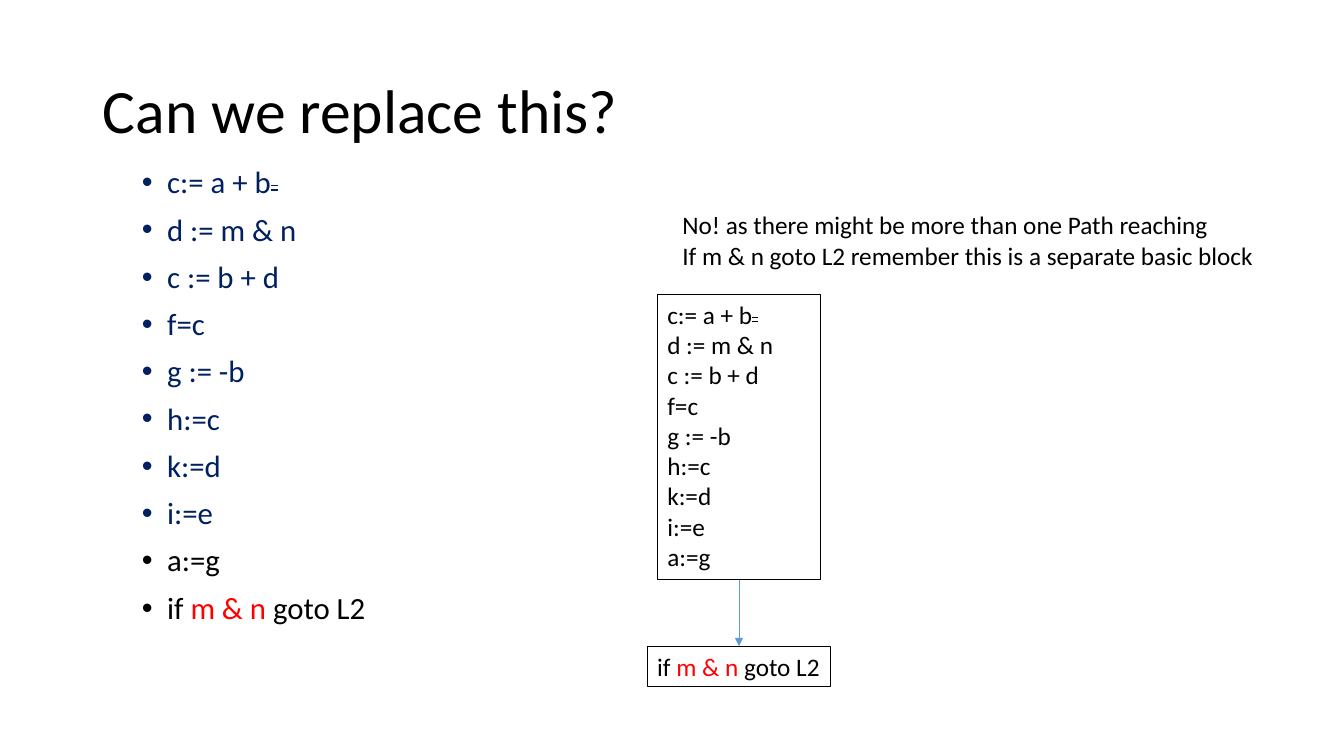
from lxml.etree import SubElement
from pptx import Presentation
from pptx.dml.color import RGBColor
from pptx.enum.shapes import MSO_CONNECTOR as CONN, MSO_SHAPE as SHAPE
from pptx.enum.text import MSO_ANCHOR as ANCHOR, MSO_AUTO_SIZE as FIT, PP_ALIGN as ALIGN
from pptx.oxml.ns import qn
from pptx.util import Pt

PX = 9144  # 100 px to the inch
BLACK, NAVY, RED, BLUE = "000000", "002060", "FF0000", "5B9BD5"

FIRST = [("c:= a + b", {}), (" ", {"strike": "dblStrike"})]
BLOCK = [FIRST, "d := m & n", "c := b + d", "f=c", "g := -b",
         "h:=c", "k:=d", "i:=e", "a:=g"]
BRANCH = [("if ", {"color": BLACK}), ("m & n ", {"color": RED}),
          ("goto L2", {"color": BLACK})]
ANSWER = ["No! as there might be more than one Path reaching",
          "If m & n goto L2 remember this is a separate basic block"]


def px(*lengths):
    return [n * PX for n in lengths]


def rgb(color):
    return RGBColor.from_string(color)


def add_run(p, text, font="Calibri", size=18, color=BLACK, strike=None):
    r = p.add_run()
    r.text = text
    r.font.name, r.font.size = font, Pt(size)
    r.font.color.rgb = rgb(color)
    if strike:
        r.font._element.set("strike", strike)


def add_bullet(p, indent=25):
    pPr = p._p.get_or_add_pPr()
    pPr.set("marL", str(indent * PX))
    pPr.set("indent", str(-indent * PX))
    SubElement(pPr, qn("a:buFont"), typeface="Arial")
    SubElement(pPr, qn("a:buChar"), char="•")


class Slide:
    def __init__(self, prs):
        self.s = prs.slides.add_slide(prs.slide_layouts[5])

    def fill_text(self, tf, lines, bullets=False, **style):
        """Each line is a string or a list of (text, format) pairs."""
        for i, line in enumerate(lines):
            p = tf.add_paragraph() if i else tf.paragraphs[0]
            p.alignment = ALIGN.LEFT
            if bullets:
                p.line_spacing, p.space_before = 0.9, Pt(10)
                add_bullet(p)
            for text, extra in [(line, {})] if isinstance(line, str) else line:
                add_run(p, text, **{**style, **extra})

    def title(self, text, *box):
        sp = self.s.shapes.title
        sp.left, sp.top, sp.width, sp.height = px(*box)
        tf = sp.text_frame
        tf.vertical_anchor, tf.auto_size = ANCHOR.MIDDLE, FIT.NONE
        self.fill_text(tf, [text], size=44)
        tf.paragraphs[0].line_spacing = 0.9

    def text(self, lines, *box, wrap=True, fit=FIT.NONE, **style):
        tf = self.s.shapes.add_textbox(*px(*box)).text_frame
        tf.word_wrap, tf.auto_size = wrap, fit
        self.fill_text(tf, lines, **style)

    def block(self, lines, *box, wrap=True):
        sp = self.s.shapes.add_shape(SHAPE.RECTANGLE, *px(*box))
        sp.shadow.inherit = False
        sp.fill.background()
        sp.line.color.rgb, sp.line.width = rgb(BLACK), Pt(0.75)
        tf = sp.text_frame
        tf.word_wrap, tf.auto_size = wrap, FIT.SHAPE_TO_FIT_TEXT
        tf.vertical_anchor = ANCHOR.TOP
        self.fill_text(tf, lines)
        return sp

    def arrow_down(self, upper, lower):
        c = self.s.shapes.add_connector(CONN.STRAIGHT, 0, 0, 0, 0)
        c.begin_connect(upper, 2)
        c.end_connect(lower, 0)
        c.line.color.rgb, c.line.width = rgb(BLUE), Pt(0.5)
        SubElement(c.line._get_or_add_ln(), qn("a:tailEnd"), type="triangle")
        SubElement(c._element.spPr, qn("a:effectLst"))


def main():
    prs = Presentation()
    prs.slide_width, prs.slide_height = px(1333, 750)
    slide = Slide(prs)
    slide.title("Can we replace this?", 92, 40, 1150, 145)
    code = BLOCK[:-1] + [[(BLOCK[-1], {"color": BLACK})], BRANCH]
    slide.text(code, 131, 161, 310, 476, bullets=True, size=22, color=NAVY)
    slide.text(ANSWER, 667, 203, 593, 71, wrap=False, fit=FIT.SHAPE_TO_FIT_TEXT)
    body = slide.block(BLOCK, 652, 292, 162, 283)
    branch = slide.block([BRANCH], 642, 641, 182, 40, wrap=False)
    slide.arrow_down(body, branch)
    prs.save("out.pptx")


if __name__ == "__main__":
    main()
